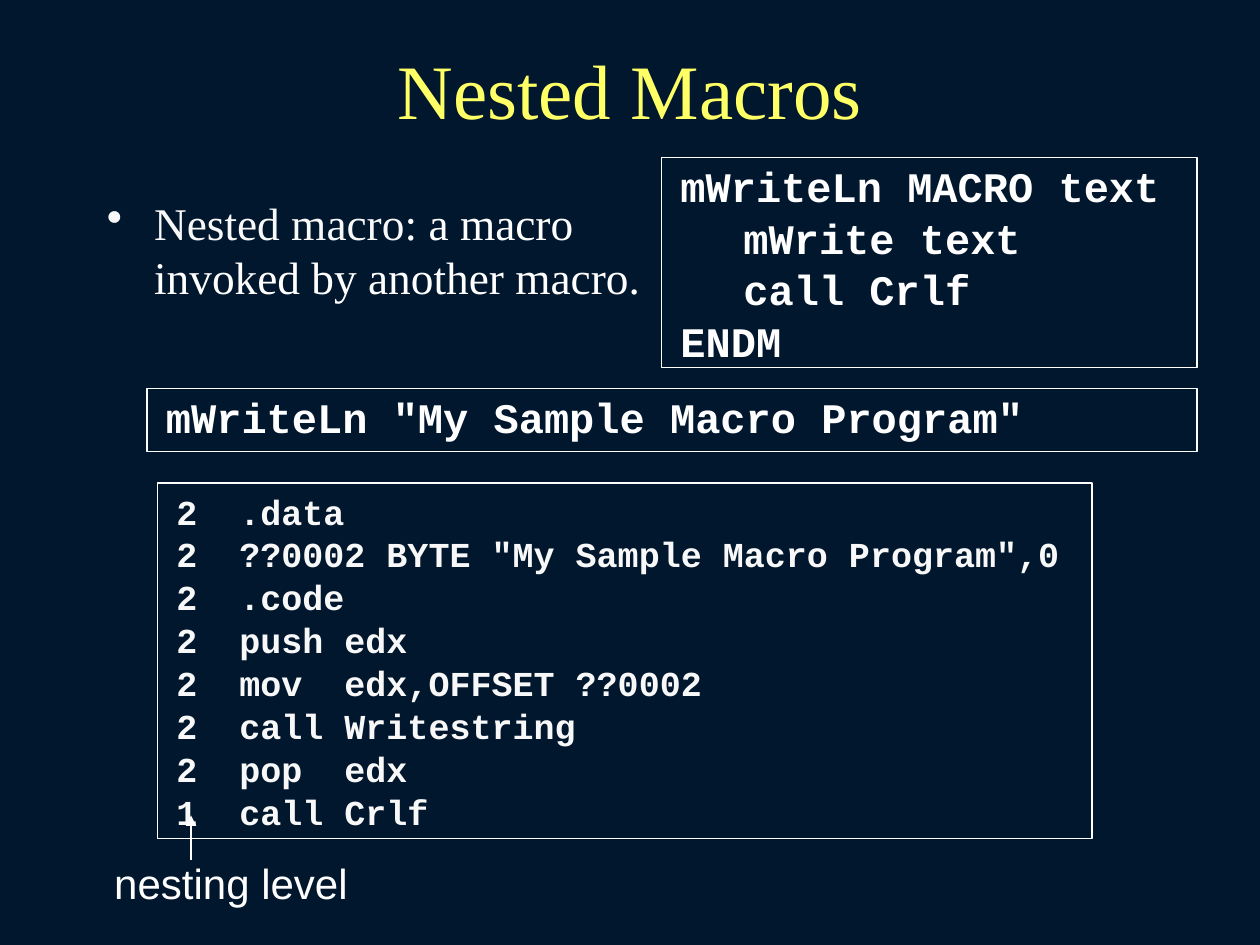
from dataclasses import dataclass

from lxml.etree import SubElement
from pptx import Presentation
from pptx.dml.color import RGBColor
from pptx.enum.shapes import MSO_CONNECTOR, MSO_SHAPE
from pptx.enum.text import MSO_ANCHOR, PP_ALIGN
from pptx.oxml.ns import qn
from pptx.util import Pt


@dataclass(frozen=True)
class Theme:
    background: RGBColor = RGBColor(0x00, 0x17, 0x2E)
    title: RGBColor = RGBColor(0xFF, 0xFF, 0x66)
    white: RGBColor = RGBColor(0xFF, 0xFF, 0xFF)
    soft_white: RGBColor = RGBColor(0xF8, 0xF8, 0xF8)
    serif: str = "Times New Roman"
    sans: str = "Arial"
    mono: str = "Courier New"
    title_size: float = 44
    body_size: float = 25.9
    code_size: float = 24
    listing_size: float = 20
    label_size: float = 24
    line_width: float = 0.75
    code_tab: float = 36


class SlideBuilder:
    def __init__(self, slide, theme):
        self.slide = slide
        self.theme = theme
        slide.background.fill.solid()
        slide.background.fill.fore_color.rgb = theme.background

    def _frame(self, shape, inset_x, inset_y, anchor=MSO_ANCHOR.TOP):
        frame = shape.text_frame
        frame.word_wrap = True
        frame.vertical_anchor = anchor
        frame.margin_left = frame.margin_right = Pt(inset_x)
        frame.margin_top = frame.margin_bottom = Pt(inset_y)
        return frame

    def _font(self, paragraph, name, size, color=None, bold=False):
        font = paragraph.font
        font.name, font.size, font.bold = name, Pt(size), bold
        if color is not None:
            font.color.rgb = color

    def _textbox(self, box, inset_y, anchor=MSO_ANCHOR.TOP):
        shape = self.slide.shapes.add_textbox(*map(Pt, box))
        return self._frame(shape, 7.2, inset_y, anchor)

    def centered(self, text, box, name, size, color, inset_y=3.6, anchor=MSO_ANCHOR.TOP):
        paragraph = self._textbox(box, inset_y, anchor).paragraphs[0]
        paragraph.text = text
        paragraph.alignment = PP_ALIGN.CENTER
        self._font(paragraph, name, size, color)

    def bullet(self, parts, box, indent=27):
        paragraph = self._textbox(box, 3.6).paragraphs[0]
        properties = paragraph._p.get_or_add_pPr()
        properties.set("marL", str(Pt(indent)))
        properties.set("indent", str(-Pt(indent)))
        bullet_color = SubElement(properties, qn("a:buClr"))
        SubElement(bullet_color, qn("a:srgbClr"), val=str(self.theme.soft_white))
        SubElement(properties, qn("a:buChar"), char="•")
        self._font(paragraph, self.theme.serif, self.theme.body_size)
        for text, color in parts:
            run = paragraph.add_run()
            run.text = text
            run.font.color.rgb = color

    def code(self, lines, box, size, color):
        shape = self.slide.shapes.add_shape(MSO_SHAPE.RECTANGLE, *map(Pt, box))
        shape.shadow.inherit = False
        shape.fill.background()
        shape.line.color.rgb = self.theme.white
        shape.line.width = Pt(self.theme.line_width)
        frame = self._frame(shape, 10.8, 14.4)
        for index, line in enumerate(lines):
            paragraph = frame.add_paragraph() if index else frame.paragraphs[0]
            paragraph.text = line
            paragraph.alignment = PP_ALIGN.LEFT
            paragraph.line_spacing = 0.5
            if index:
                paragraph.space_before = Pt(size * 0.625)
            tabs = SubElement(paragraph._p.get_or_add_pPr(), qn("a:tabLst"))
            SubElement(tabs, qn("a:tab"), pos=str(Pt(self.theme.code_tab)), algn="l")
            self._font(paragraph, self.theme.mono, size, color, bold=True)

    def arrow(self, start, end):
        connector = self.slide.shapes.add_connector(
            MSO_CONNECTOR.STRAIGHT, *map(Pt, (*start, *end)))
        connector.line.color.rgb = self.theme.white
        connector.line.width = Pt(self.theme.line_width)
        SubElement(connector.line._get_or_add_ln(), qn("a:tailEnd"), type="triangle")
        SubElement(connector._element.spPr, qn("a:effectLst"))


def main():
    theme = Theme()
    presentation = Presentation()
    presentation.slide_width, presentation.slide_height = Pt(720), Pt(540)
    slide = presentation.slides.add_slide(presentation.slide_layouts[6])
    builder = SlideBuilder(slide, theme)

    # Title and definition
    builder.centered("Nested Macros", (54, 18, 612, 66), theme.serif,
                     theme.title_size, theme.title, anchor=MSO_ANCHOR.MIDDLE)
    builder.bullet([("Nested macro", theme.soft_white),
                    (": a macro invoked by another macro.", theme.white)],
                   (54, 108, 330, 107))

    # Macro definition and its call
    builder.code(["mWriteLn MACRO text", "\tmWrite text", "\tcall Crlf", "ENDM"],
                 (378, 90, 306, 120), theme.code_size, theme.white)
    builder.code(['mWriteLn "My Sample Macro Program"'],
                 (84, 222, 600, 36), theme.code_size, theme.white)

    # Expanded listing
    expansion = [
        "2\t.data",
        '2\t??0002 BYTE "My Sample Macro Program",0',
        "2 \t.code",
        "2 \tpush edx",
        "2 \tmov  edx,OFFSET ??0002",
        "2 \tcall Writestring",
        "2 \tpop  edx",
        "1 \tcall Crlf",
    ]
    builder.code(expansion, (90, 276, 534, 203), theme.listing_size, theme.soft_white)

    # Nesting level label
    builder.centered("nesting level", (18, 479, 228, 50), theme.sans,
                     theme.label_size, theme.white, inset_y=10.8)
    builder.arrow((109.2, 491.5), (109.2, 466))

    presentation.save("out.pptx")


if __name__ == "__main__":
    main()
